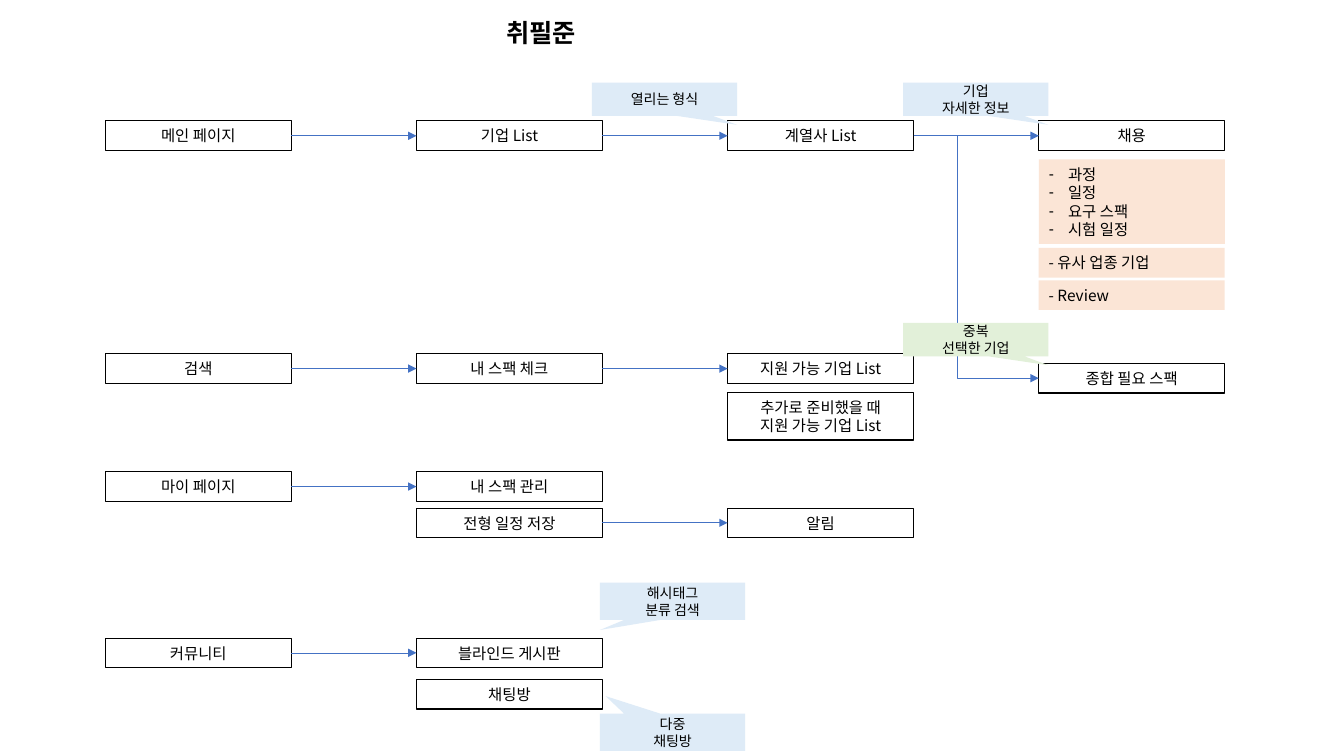
from dataclasses import dataclass

from lxml import etree
from pptx import Presentation
from pptx.dml.color import RGBColor
from pptx.enum.shapes import MSO_CONNECTOR, MSO_SHAPE
from pptx.enum.text import MSO_ANCHOR, MSO_AUTO_SIZE, PP_ALIGN
from pptx.oxml.ns import qn
from pptx.util import Inches, Pt

RECT, CALLOUT = MSO_SHAPE.RECTANGLE, MSO_SHAPE.RECTANGULAR_CALLOUT
STRAIGHT, ELBOW = MSO_CONNECTOR.STRAIGHT, MSO_CONNECTOR.ELBOW
LEFT, CENTER, JUSTIFY = PP_ALIGN.LEFT, PP_ALIGN.CENTER, PP_ALIGN.JUSTIFY
TOP, MIDDLE, NO_FIT = MSO_ANCHOR.TOP, MSO_ANCHOR.MIDDLE, MSO_AUTO_SIZE.NONE
LEFT_SITE, RIGHT_SITE = 1, 3


@dataclass(frozen=True)
class Theme:
    font: str = "Noto Sans CJK KR"
    ink: str = "000000"
    arrow: str = "4472C4"
    detail: str = "FBE5D6"
    note: str = "DEEBF7"
    pick: str = "E2F0D9"
    title_pt: float = 18
    box_pt: float = 11
    note_pt: float = 10
    box_line: float = 0.75
    arrow_line: float = 0.5


@dataclass(frozen=True)
class Box:
    col: int
    row: float
    text: str
    rows: float = 3.92
    fill: str = ""


@dataclass(frozen=True)
class Callout:
    x: float
    y: float
    rows: float
    text: str
    tip: tuple[float, float]
    fill: str


T = Theme()
prs = Presentation()
prs.slide_width, prs.slide_height = Inches(13.33), Inches(7.5)
COL, ROW = prs.slide_width / 100, prs.slide_height / 100
FIRST_COL, COL_STEP, BOX_COLS, NOTE_COLS = 7.84, 23.15, 13.84, 10.8


def place(s, x: float, y: float, cols: float, rows: float) -> None:
    s.left, s.top = int(x * COL), int(y * ROW)
    s.width, s.height = int(cols * COL), int(rows * ROW)


def col_x(col: int) -> float:
    return FIRST_COL + col * COL_STEP


def paint(s, fill: str) -> None:
    s.fill.solid()
    s.fill.fore_color.rgb = RGBColor.from_string(fill)


def write(s, text: str, size: float, align: PP_ALIGN, anchor: MSO_ANCHOR = MIDDLE,
          bold: bool = False) -> None:
    tf = s.text_frame
    tf.text = text
    tf.word_wrap, tf.auto_size, tf.vertical_anchor = True, NO_FIT, anchor
    for p in tf.paragraphs:
        p.alignment, p.space_before = align, Pt(0)
        for r in p.runs:
            r.font.size, r.font.bold = Pt(size), bold
            r.font.color.rgb = RGBColor.from_string(T.ink)
            r.font.name = T.font
            etree.SubElement(r.font._element, qn("a:ea"), typeface=T.font)


def add_preset(preset: MSO_SHAPE, x: float, y: float, cols: float, rows: float, fill: str):
    s = slide.shapes.add_shape(preset, 0, 0, 0, 0)
    place(s, x, y, cols, rows)
    s.shadow.inherit = False
    if fill:
        paint(s, fill)
        s.line.fill.background()
    else:
        s.fill.background()
        s.line.color.rgb = RGBColor.from_string(T.ink)
        s.line.width = Pt(T.box_line)
    return s


def add_box(box: Box):
    s = add_preset(RECT, col_x(box.col), box.row, BOX_COLS, box.rows, box.fill)
    write(s, box.text, T.box_pt, LEFT if box.fill else CENTER)
    return s


def add_callout(note: Callout) -> None:
    s = add_preset(CALLOUT, note.x, note.y, NOTE_COLS, note.rows, note.fill)
    s.adjustments[0], s.adjustments[1] = note.tip
    write(s, note.text, T.note_pt, CENTER)


def add_arrow(start, end, kind: MSO_CONNECTOR = STRAIGHT, bend: int = 0) -> None:
    c = slide.shapes.add_connector(kind, 0, 0, 0, 0)
    c.begin_connect(start, RIGHT_SITE)
    c.end_connect(end, LEFT_SITE)
    c.line.color.rgb = RGBColor.from_string(T.arrow)
    c.line.width = Pt(T.arrow_line)
    etree.SubElement(c.line._get_or_add_ln(), qn("a:tailEnd"), type="triangle")
    sp_pr = c._element.spPr
    etree.SubElement(sp_pr, qn("a:effectLst"))
    if bend:
        guides = sp_pr.find(qn("a:prstGeom")).find(qn("a:avLst"))
        etree.SubElement(guides, qn("a:gd"), name="adj1", fmla=f"val {bend}")


def add_dashes(s) -> None:
    for p in s.text_frame.paragraphs:
        p_pr = p._p.get_or_add_pPr()
        p_pr.set("marL", str(Inches(0.19)))
        p_pr.set("indent", str(-Inches(0.19)))
        etree.SubElement(p_pr, qn("a:buChar"), char="-")


BOXES = {
    "main": Box(0, 16, "메인 페이지"),
    "companies": Box(1, 16, "기업 List"),
    "affiliates": Box(2, 16, "계열사 List"),
    "hiring": Box(3, 16, "채용"),
    "search": Box(0, 46.8, "검색"),
    "check": Box(1, 46.8, "내 스팩 체크"),
    "eligible": Box(2, 46.8, "지원 가능 기업 List"),
    "prepared": Box(2, 51.93, "추가로 준비했을 때\n지원 가능 기업 List", rows=6.28),
    "my_page": Box(0, 62.4, "마이 페이지"),
    "manage": Box(1, 62.4, "내 스팩 관리"),
    "schedule": Box(1, 67.2, "전형 일정 저장"),
    "alert": Box(2, 67.2, "알림"),
    "community": Box(0, 84.4, "커뮤니티"),
    "board": Box(1, 84.4, "블라인드 게시판"),
    "chat": Box(1, 89.87, "채팅방"),
    "similar": Box(3, 32.8, "- 유사 업종 기업", fill=T.detail),
    "review": Box(3, 37.07, "- Review", fill=T.detail),
    "needed": Box(3, 48.07, "종합 필요 스팩"),
}
LINKS = [
    ("main", "companies"), ("companies", "affiliates"), ("affiliates", "hiring"),
    ("search", "check"), ("check", "eligible"), ("my_page", "manage"),
    ("schedule", "alert"), ("community", "board"),
]
TIP_RIGHT = (0.5, 0.77)
CALLOUTS = [
    Callout(44.04, 10.93, 4.4, "열리는 형식", TIP_RIGHT, T.note),
    Callout(67.2, 10.93, 4.4, "기업\n자세한 정보", TIP_RIGHT, T.note),
    Callout(67.2, 42.73, 4.4, "중복\n선택한 기업", TIP_RIGHT, T.pick),
    Callout(44.64, 77.07, 4.93, "해시태그\n분류 검색", (-0.5, 0.77), T.note),
    Callout(44.64, 94.4, 4.93, "다중\n채팅방", (-0.46, -0.97), T.note),
]

slide = prs.slides.add_slide(prs.slide_layouts[1])
title, details = slide.shapes.title, slide.placeholders[1]
place(title, 36.91, 1.6, 26.41, 5.33)
write(title, "취필준", T.title_pt, JUSTIFY, TOP, bold=True)
place(details, col_x(3), 21.07, BOX_COLS, 11.2)
paint(details, T.detail)
write(details, "과정\n일정\n요구 스팩\n시험 일정", T.box_pt, LEFT)
add_dashes(details)

boxes = {name: add_box(box) for name, box in BOXES.items()}
for start, end in LINKS:
    add_arrow(boxes[start], boxes[end])
add_arrow(boxes["affiliates"], boxes["needed"], ELBOW, bend=34900)
for note in CALLOUTS:
    add_callout(note)

prs.save("out.pptx")
